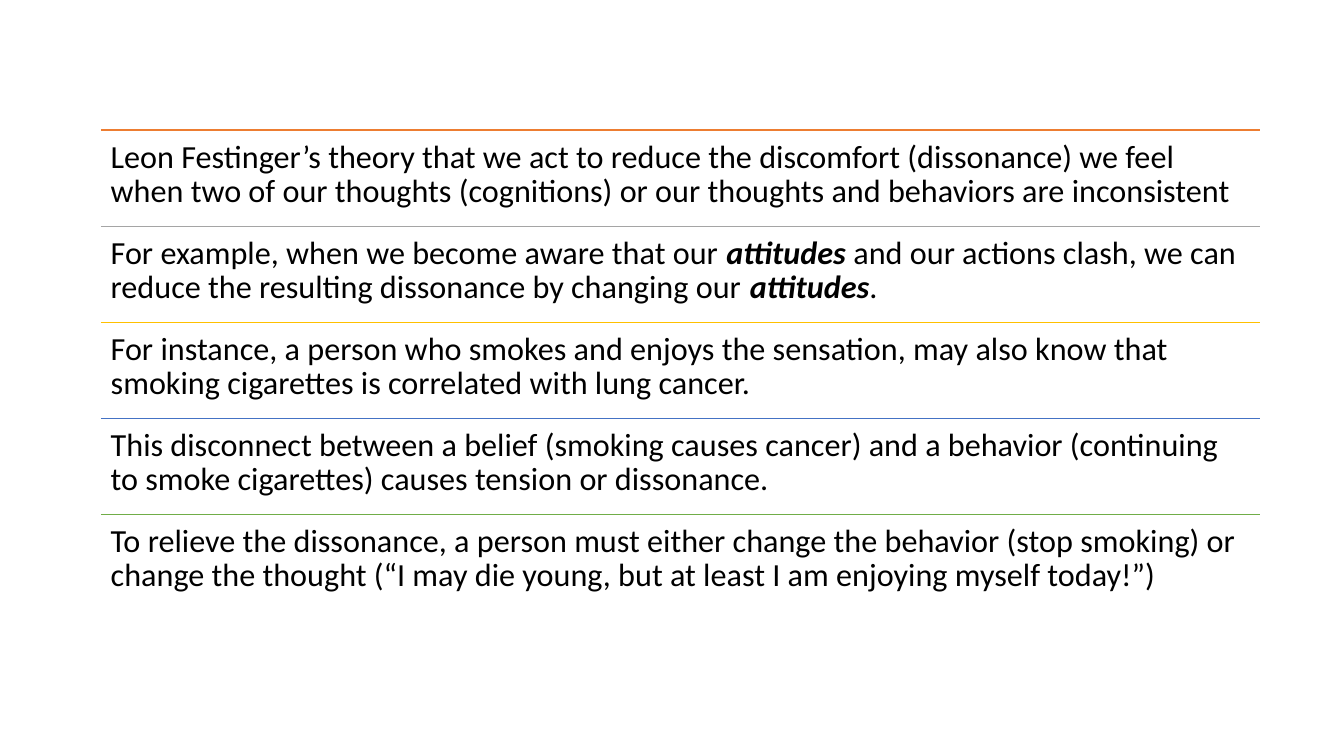
from dataclasses import dataclass

from lxml import etree
from pptx import Presentation
from pptx.dml.color import RGBColor
from pptx.enum.shapes import MSO_CONNECTOR
from pptx.enum.text import MSO_ANCHOR
from pptx.oxml.ns import qn
from pptx.util import Pt

STRAIGHT = MSO_CONNECTOR.STRAIGHT
TOP = MSO_ANCHOR.TOP
BLANK_LAYOUT = 6


@dataclass(frozen=True)
class Theme:
    font: str = "Calibri"
    size: float = 23
    line_spacing: float = 0.9
    inset: float = 7.2
    rule_width: float = 1
    text: str = "000000"
    rules: tuple = ("ED7D31", "A5A5A5", "FFC000", "4472C4", "70AD47")


THEME = Theme()

STATEMENTS = [
    [("Leon Festinger’s theory that we act to reduce the discomfort (dissonance) we feel "
      "when two of our thoughts (cognitions) or our thoughts and behaviors are inconsistent", False)],
    [("For example, when we become aware that our ", False),
     ("attitudes", True),
     (" and our actions clash, we can reduce the resulting dissonance by changing our ", False),
     ("attitudes", True),
     (".", False)],
    [("For instance, a person who smokes and enjoys the sensation, may also know that "
      "smoking cigarettes is correlated with lung cancer.", False)],
    [("This disconnect between a belief (smoking causes cancer) and a behavior (continuing "
      "to smoke cigarettes) causes tension or dissonance.", False)],
    [("To relieve the dissonance, a person must either change the behavior (stop smoking) or "
      "change the thought (“I may die young, but at least I am enjoying myself today!”)", False)],
]


def add_rule(s, left, top, width, color):
    rule = s.shapes.add_connector(STRAIGHT, Pt(left), Pt(top), Pt(left + width), Pt(top))
    rule.line.color.rgb = RGBColor.from_string(color)
    rule.line.width = Pt(THEME.rule_width)
    etree.SubElement(rule._element.spPr, qn("a:effectLst"))


def add_statement(s, left, top, width, height, runs):
    tf = s.shapes.add_textbox(Pt(left), Pt(top), Pt(width), Pt(height)).text_frame
    tf.word_wrap = True
    tf.vertical_anchor = TOP
    tf.margin_left = tf.margin_right = Pt(THEME.inset)
    tf.margin_top = tf.margin_bottom = Pt(THEME.inset)
    p = tf.paragraphs[0]
    p.line_spacing = THEME.line_spacing
    p.font.name = THEME.font
    p.font.size = Pt(THEME.size)
    p.font.color.rgb = RGBColor.from_string(THEME.text)
    for text, emphasis in runs:
        r = p.add_run()
        r.text = text
        if emphasis:
            r.font.bold = r.font.italic = True


def add_statement_list(s, left, top, width, height):
    row_height = height / len(STATEMENTS)
    for i, (runs, color) in enumerate(zip(STATEMENTS, THEME.rules)):
        row_top = top + i * row_height
        add_rule(s, left, row_top, width, color)
        add_statement(s, left, row_top, width, row_height, runs)


def main():
    prs = Presentation()
    prs.slide_width, prs.slide_height = Pt(960), Pt(540)
    s = prs.slides.add_slide(prs.slide_layouts[BLANK_LAYOUT])
    add_statement_list(s, left=72, top=93, width=828, height=343)
    prs.save("out.pptx")


if __name__ == "__main__":
    main()
